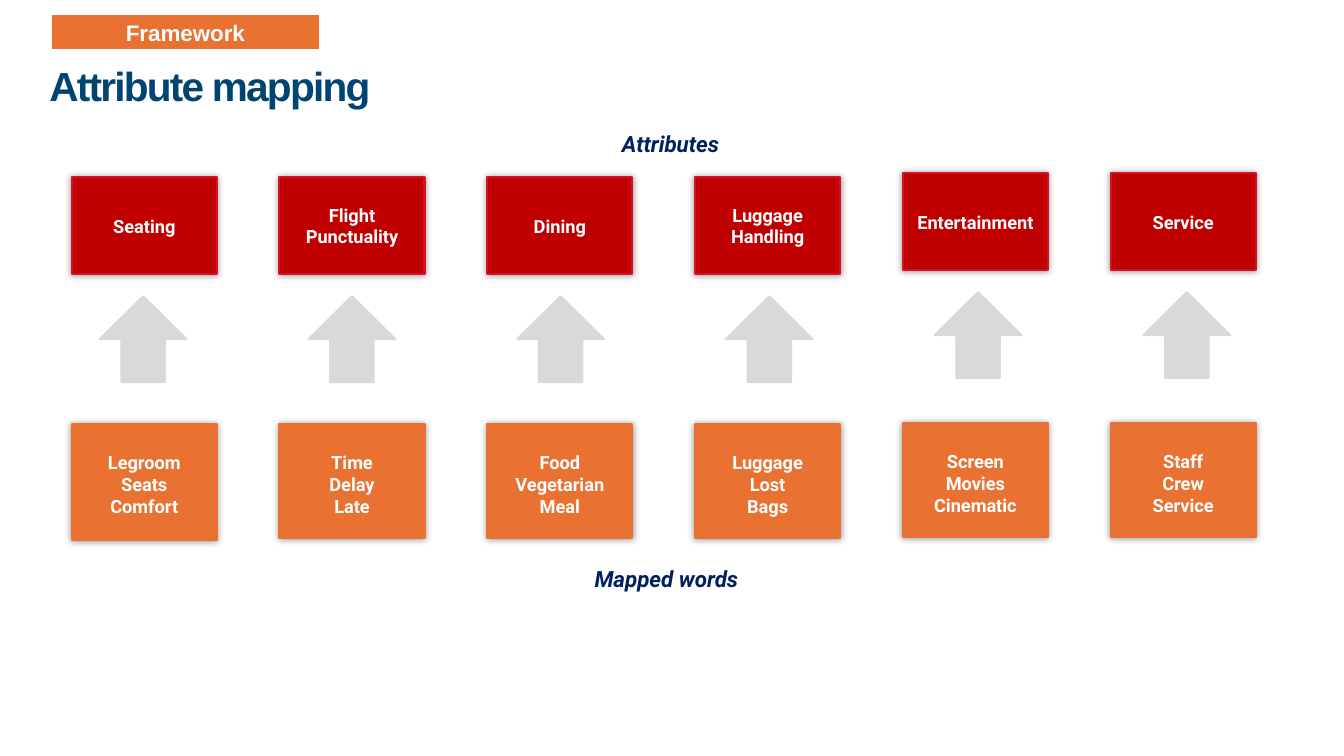
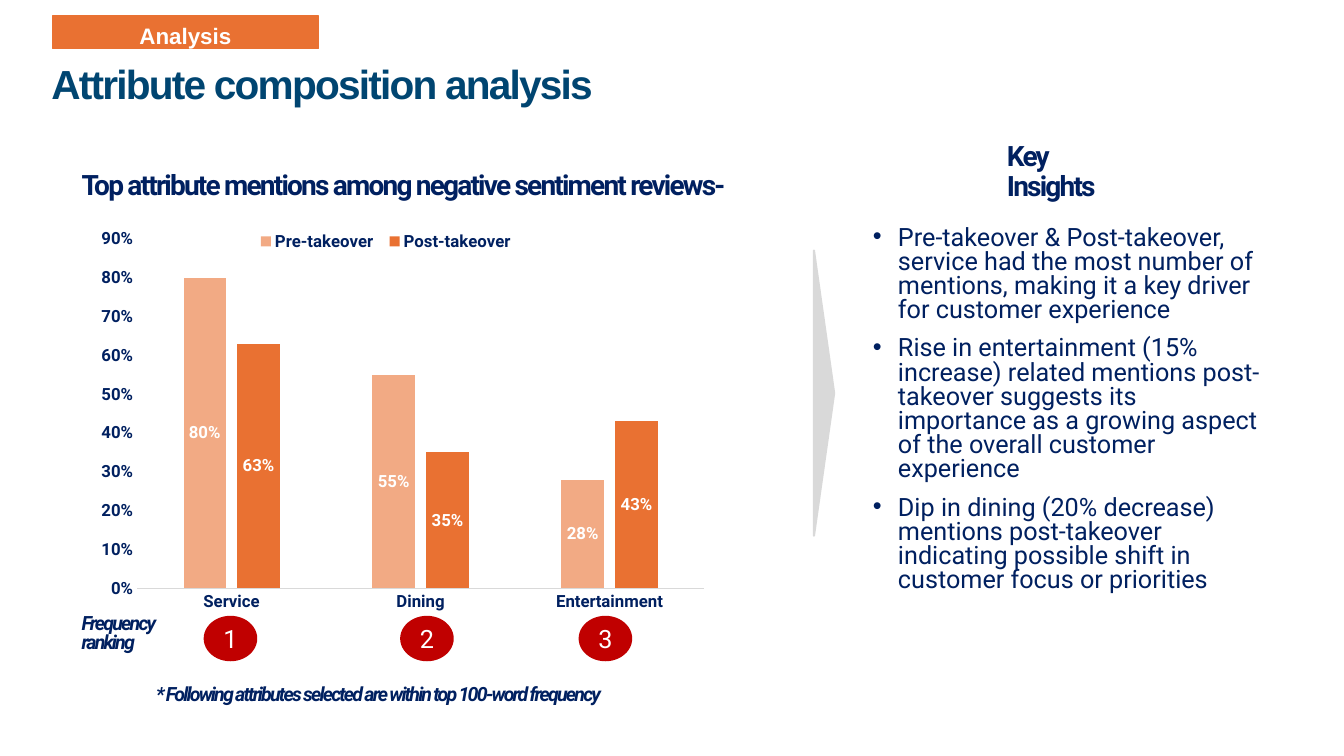
from lxml.etree import SubElement, fromstring
from pptx import Presentation
from pptx.chart.data import CategoryChartData
from pptx.dml.color import RGBColor
from pptx.enum.chart import XL_CHART_TYPE, XL_LABEL_POSITION, XL_LEGEND_POSITION, XL_TICK_MARK
from pptx.enum.shapes import MSO_SHAPE
from pptx.enum.text import MSO_ANCHOR, PP_ALIGN
from pptx.oxml.ns import nsdecls, qn
from pptx.util import Inches, Pt

WIDTH, HEIGHT = Inches(13.33), Inches(7.5)
COLORS = {
    "orange": "E97132", "peach": "F2AA84", "red": "C00000", "crimson": "DA0D2B",
    "navy": "002060", "teal": "004571", "gray": "D9D9D9", "white": "FFFFFF",
}
BASE = {"name": "Roboto", "bold": True, "italic": False, "color": "navy"}
STYLES = {
    "band": BASE | {"name": "Arial", "size": 16, "color": "white"},
    "title": BASE | {"name": "Arial", "size": 29, "color": "teal", "spacing": -130},
    "card": BASE | {"size": 13, "color": "white"},
    "caption": BASE | {"size": 16, "italic": True},
    "heading": BASE | {"size": 20, "spacing": -130},
    "note": BASE | {"size": 14, "italic": True, "spacing": -130},
    "insight": BASE | {"size": 18, "bold": False},
    "rank": BASE | {"size": 18, "bold": False, "color": "white"},
    "axis": BASE | {"size": 12},
    "value": BASE | {"size": 12, "color": "white"},
}
MAPPING = [
    ("Seating", ["Legroom", "Seats", "Comfort"]),
    ("Flight Punctuality", ["Time", "Delay", "Late"]),
    ("Dining", ["Food", "Vegetarian", "Meal"]),
    ("Luggage Handling", ["Luggage", "Lost", "Bags"]),
    ("Entertainment", ["Screen", "Movies", "Cinematic"]),
    ("Service", ["Staff", "Crew", "Service"]),
]
INSIGHTS = [
    "Pre-takeover & Post-takeover, service had the most number of mentions, "
    "making it a key driver for customer experience",
    "Rise in entertainment (15% increase) related mentions post-takeover suggests "
    "its importance as a growing aspect of the overall customer experience",
    "Dip in dining (20% decrease) mentions post-takeover indicating possible "
    "shift in customer focus or priorities",
]
MENTIONS = {
    "Pre-takeover": ("peach", (0.8, 0.55, 0.28)),
    "Post-takeover": ("orange", (0.63, 0.35, 0.43)),
}


def color(key):
    """Return the palette colour for a key."""
    return RGBColor.from_string(COLORS[key])


def share(left, top, width, height):
    """Turn percentages of the slide into a position and size."""
    return [int(part * side / 100) for part, side in
            zip((left, top, width, height), (WIDTH, HEIGHT) * 2)]


def dress(font, style):
    """Apply a named style to a font."""
    values = STYLES[style]
    for key in ("name", "bold", "italic"):
        setattr(font, key, values[key])
    font.size = Pt(values["size"])
    font.color.rgb = color(values["color"])


def write(holder, lines, style, paragraph_format=None, **frame_format):
    """Write styled lines into a shape's text frame."""
    frame = holder.text_frame
    for key, value in ({"word_wrap": True} | frame_format).items():
        setattr(frame, key, value)
    for index, line in enumerate(lines):
        paragraph = frame.add_paragraph() if index else frame.paragraphs[0]
        for key, value in (paragraph_format or {}).items():
            setattr(paragraph, key, value)
        run = paragraph.add_run()
        run.text = line
        dress(run.font, style)
        if "spacing" in STYLES[style]:
            run.font._element.set("spc", str(STYLES[style]["spacing"]))
    return frame


def add_block(slide, preset, area, fill, outline=None, weight=1.5):
    """Add a filled preset shape without a shadow."""
    block = slide.shapes.add_shape(preset, *share(*area))
    block.shadow.inherit = False
    block.fill.solid()
    block.fill.fore_color.rgb = color(fill)
    block.line.color.rgb = color(outline or fill)
    block.line.width = Pt(weight)
    return block


def add_glow(block):
    """Give a block a soft dark edge."""
    effects = block._element.spPr.find(qn("a:effectLst"))
    glow = SubElement(effects, qn("a:outerShdw"), blurRad=str(Pt(5)), dist="0", dir="0", algn="ctr")
    black = SubElement(glow, qn("a:srgbClr"), val="000000")
    SubElement(black, qn("a:alpha"), val="40000")


def add_words(slide, area, text, style, line_spacing=None, **frame_format):
    """Add a text box holding one line of content."""
    words = slide.shapes.add_textbox(*share(*area))
    spacing = {"line_spacing": line_spacing, "space_after": Pt(6)} if line_spacing else None
    write(words, [text], style, spacing, **frame_format)


def add_header(deck, section, title, title_left, title_top, section_drop=0):
    """Add a slide with its section band and title."""
    slide = deck.slides.add_slide(deck.slide_layouts[6])
    band = add_block(slide, MSO_SHAPE.RECTANGLE, (3.9, 2.13, 19.8, 4.27), "orange", weight=1)
    write(band, [section], "band", {"alignment": PP_ALIGN.CENTER},
          vertical_anchor=MSO_ANCHOR.MIDDLE, margin_top=Inches(0.05 + section_drop))
    insets = dict.fromkeys(("margin_left", "margin_top", "margin_right", "margin_bottom"), 0)
    add_words(slide, (title_left, title_top, 78.75, 4.93), title, "title", 0.9, **insets)
    return slide


def add_mapping(slide, column, attribute, mapped_words):
    """Add one column: attribute, arrow and the words mapped to it."""
    left = 5.33 + 15.46 * column
    is_raised = column > 3
    rise = 0.53 if is_raised else 0
    centered = {"alignment": PP_ALIGN.CENTER}
    top_card = add_block(slide, MSO_SHAPE.RECTANGLE, (left, 23.47 - rise, 10.8, 12.8), "red", "crimson")
    write(top_card, [attribute], "card", centered, vertical_anchor=MSO_ANCHOR.MIDDLE)
    add_block(slide, MSO_SHAPE.UP_ARROW, (7.43 + 15.53 * column, 39.2 - rise, 6.45, 11.33), "gray")
    word_card = add_block(slide, MSO_SHAPE.RECTANGLE,
                          (left, 56.13 - rise / 4, 10.8, 15.07 if column else 15.33), "orange")
    write(word_card, mapped_words, "card", centered,
          vertical_anchor=MSO_ANCHOR.TOP, margin_top=Inches(0.27))
    for card in (top_card, word_card):
        add_glow(card)


def add_insights(slide, area):
    """Add the bulleted insights."""
    insights = slide.shapes.add_textbox(*share(*area))
    frame = write(insights, INSIGHTS, "insight", {"line_spacing": 0.8})
    for index, paragraph in enumerate(frame.paragraphs):
        properties = paragraph._p.get_or_add_pPr()
        properties.set("marL", str(Inches(0.25)))
        properties.set("indent", str(-Inches(0.25)))
        SubElement(properties, qn("a:buFont"), typeface="Arial")
        SubElement(properties, qn("a:buChar"), char="•")
        if index:
            paragraph.space_before = Pt(10)


def set_layout(part, position, *box, inner=False):
    """Fix a chart part at shares of the chart's size."""
    for old in part.findall(qn("c:layout")):
        part.remove(old)
    target = '<c:layoutTarget val="inner"/>' if inner else ""
    modes = '<c:xMode val="edge"/><c:yMode val="edge"/>'
    sizes = "".join(f'<c:{key} val="{value}"/>' for key, value in zip("xywh", box))
    part.insert(position, fromstring(
        f'<c:layout {nsdecls("c")}><c:manualLayout>{target}{modes}{sizes}</c:manualLayout></c:layout>'))


def add_mentions_chart(slide, area):
    """Add the column chart of mentions before and after the takeover."""
    data = CategoryChartData(number_format="0%")
    data.categories = ["Service", "Dining", "Entertainment"]
    for period, (_, shares) in MENTIONS.items():
        data.add_series(period, shares)
    chart = slide.shapes.add_chart(XL_CHART_TYPE.COLUMN_CLUSTERED, *share(*area), data).chart
    chart.has_title = False
    dress(chart.font, "axis")
    plot = chart.plots[0]
    for key, value in {"gap_width": 219, "overlap": -27, "vary_by_categories": False}.items():
        setattr(plot, key, value)
    for series, (fill, _) in zip(plot.series, MENTIONS.values()):
        series.format.fill.solid()
        series.format.fill.fore_color.rgb = color(fill)
        labels = series.data_labels
        label_format = {"show_value": True, "position": XL_LABEL_POSITION.CENTER,
                        "number_format": "0%", "number_format_is_linked": False}
        for key, value in label_format.items():
            setattr(labels, key, value)
        dress(labels.font, "value")
    for axis in (chart.category_axis, chart.value_axis):
        axis.has_major_gridlines = False
        axis.major_tick_mark = axis.minor_tick_mark = XL_TICK_MARK.NONE
        dress(axis.tick_labels.font, "axis")
    chart.category_axis.format.line.color.rgb = color("gray")
    chart.category_axis.format.line.width = Pt(0.75)
    scale = chart.value_axis
    scale.format.line.fill.background()
    for key, value in {"minimum_scale": 0, "maximum_scale": 0.9, "major_unit": 0.1}.items():
        setattr(scale, key, value)
    scale.tick_labels.number_format = "0%"
    scale.tick_labels.number_format_is_linked = False
    chart.has_legend = True
    chart.legend.position = XL_LEGEND_POSITION.BOTTOM
    chart.legend.include_in_layout = False
    dress(chart.legend.font, "axis")
    set_layout(chart.legend._element, 1, 0.26, 0.01, 0.43, 0.07)
    set_layout(chart._chartSpace.chart.plotArea, 0, 0.08, 0.04, 0.9, 0.8, inner=True)


def add_rank(slide, rank, left):
    """Add a numbered rank under its category."""
    badge = add_block(slide, MSO_SHAPE.OVAL, (left, 81.6, 3.83, 5.73), "red")
    write(badge, [str(rank)], "rank", {"alignment": PP_ALIGN.CENTER},
          vertical_anchor=MSO_ANCHOR.MIDDLE)


def build_framework(deck):
    """Build the attribute mapping slide."""
    slide = add_header(deck, "Framework", "Attribute mapping", 3.68, 8.8)
    for column, (attribute, mapped_words) in enumerate(MAPPING):
        add_mapping(slide, column, attribute, mapped_words)
    add_words(slide, (45.53, 16.53, 9.3, 4.93), "Attributes", "caption")
    add_words(slide, (43.5, 74.13, 13.35, 4.93), "Mapped words", "caption")


def build_analysis(deck):
    """Build the attribute composition slide."""
    slide = add_header(deck, "Analysis", "Attribute composition analysis", 3.83, 8.53, 0.06)
    bottom = {"vertical_anchor": MSO_ANCHOR.BOTTOM}
    add_words(slide, (74.18, 20.67, 11.18, 6.8), "Key Insights", "heading", 0.9, **bottom)
    pointer = add_block(slide, MSO_SHAPE.ISOSCELES_TRIANGLE, (50.7, 50.67, 21.23, 2.67), "gray")
    pointer.rotation = 90
    add_insights(slide, (64.2, 29.33, 30.98, 50))
    add_mentions_chart(slide, (6.45, 29.33, 46.88, 57.73))
    add_words(slide, (5.33, 20.53, 55.35, 6.8),
              "Top attribute mentions among negative sentiment reviews-", "heading", 0.9, **bottom)
    add_words(slide, (10.88, 87.2, 39.08, 6.8),
              "* Following attributes selected are within top 100-word frequency", "note", 0.9, **bottom)
    for rank, left in enumerate((15.23, 29.85, 43.13), 1):
        add_rank(slide, rank, left)
    add_words(slide, (5.33, 80.27, 7.13, 6.8), "Frequency ranking", "note", 0.8, **bottom)


def main():
    """Build the presentation and save it."""
    deck = Presentation()
    deck.slide_width, deck.slide_height = WIDTH, HEIGHT
    build_framework(deck)
    build_analysis(deck)
    deck.save("out.pptx")


if __name__ == "__main__":
    main()
